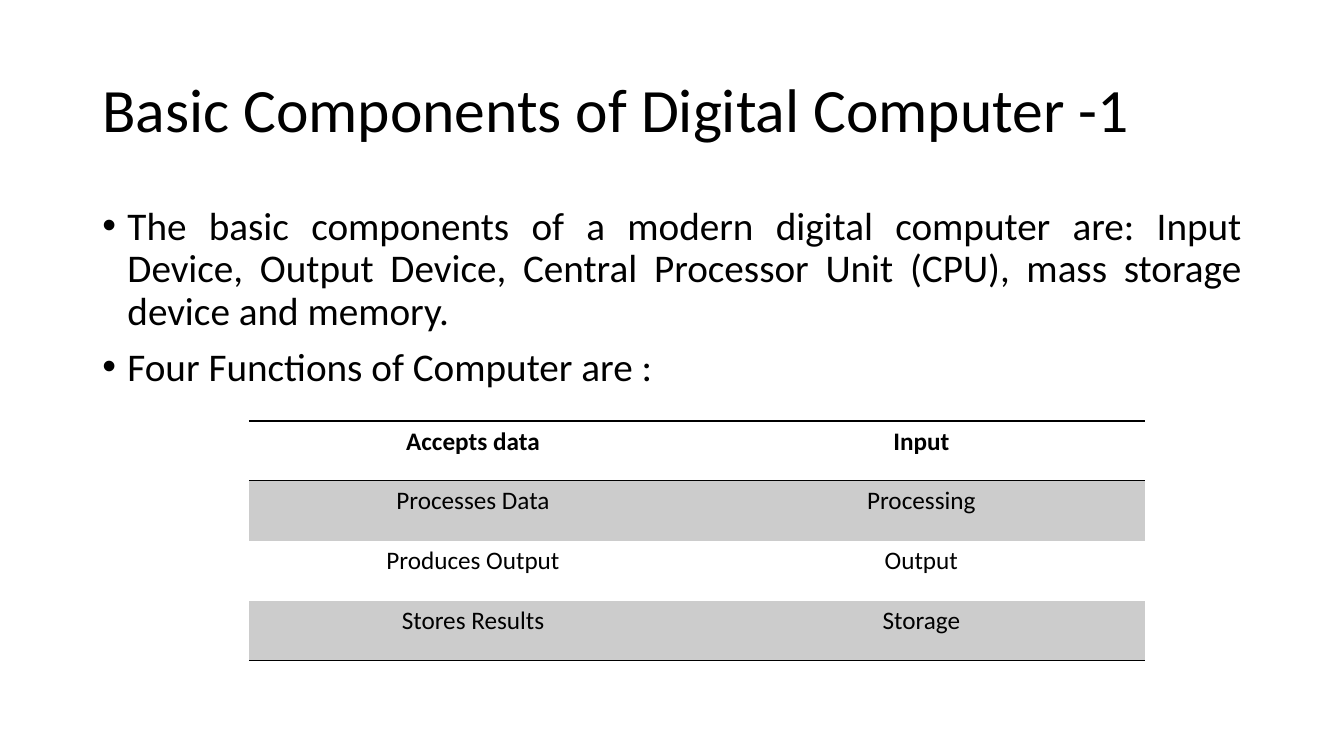
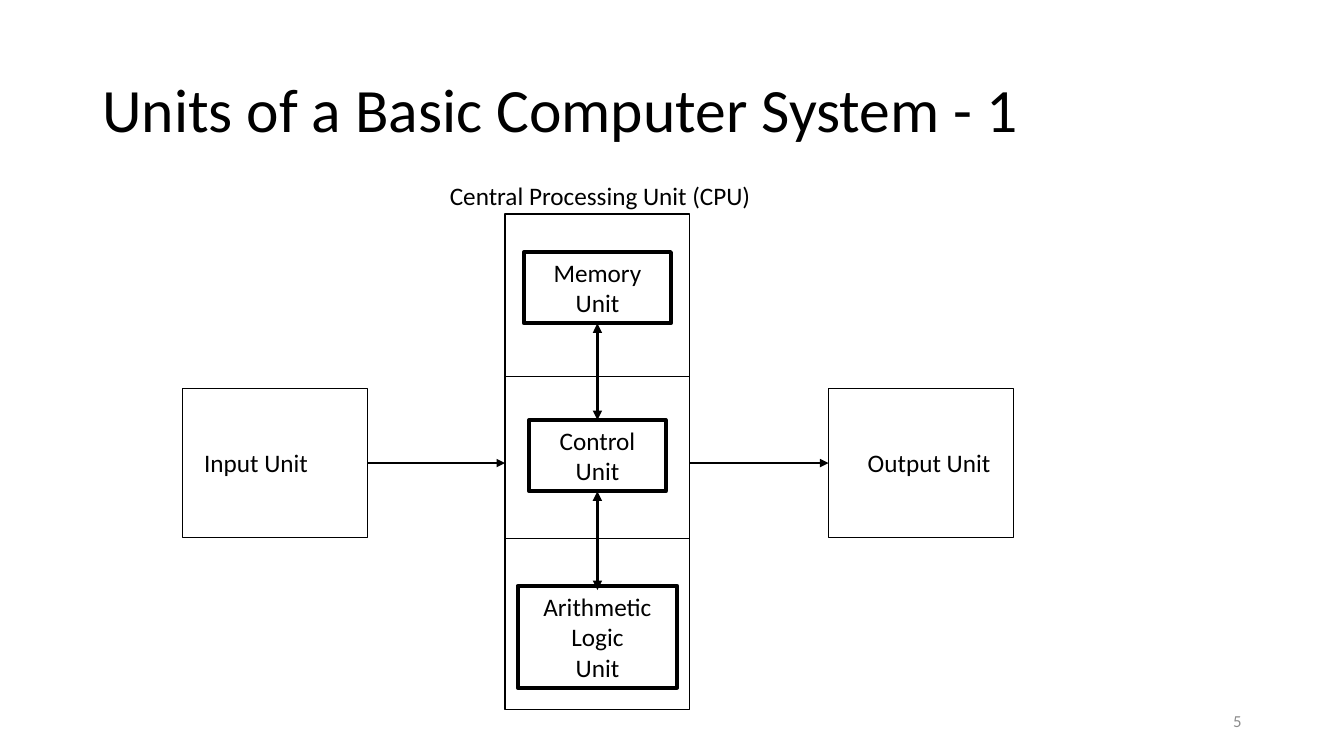
from pptx import Presentation
from pptx.dml.color import RGBColor
from pptx.enum.shapes import MSO_CONNECTOR, MSO_SHAPE
from pptx.enum.text import MSO_ANCHOR, PP_ALIGN
from pptx.oxml.ns import qn
from pptx.util import Emu, Pt
from lxml import etree

BLACK = RGBColor(0x00, 0x00, 0x00)
GREY = RGBColor(0x8C, 0x8C, 0x8C)
BAND = RGBColor(0xCC, 0xCC, 0xCC)
LEFT, CENTER, RIGHT, JUSTIFY = (
    PP_ALIGN.LEFT, PP_ALIGN.CENTER, PP_ALIGN.RIGHT, PP_ALIGN.JUSTIFY)
TOP, MIDDLE = MSO_ANCHOR.TOP, MSO_ANCHOR.MIDDLE
RECTANGLE = MSO_SHAPE.RECTANGLE
STRAIGHT = MSO_CONNECTOR.STRAIGHT
FONT = "Calibri"
EMU_PER_PX = 9525
BLANK_LAYOUT = 6
MARGIN, CONTENT_WIDTH = 88, 1104


def px(length):
    return Emu(length * EMU_PER_PX)


def add_xml(parent, tag, **attributes):
    return etree.SubElement(parent, qn(tag), attributes)


class Deck:
    def __init__(self):
        self.prs = Presentation()
        self.prs.slide_width, self.prs.slide_height = px(1280), px(720)
        self.shapes = None

    def new_slide(self, title):
        layout = self.prs.slide_layouts[BLANK_LAYOUT]
        self.shapes = self.prs.slides.add_slide(layout).shapes
        self.text([title], MARGIN, 38, CONTENT_WIDTH, 139, size=44,
                  anchor=MIDDLE, spacing={"line_spacing": 0.9})

    def set_lines(self, frame, lines, size=18, color=BLACK, bold=False,
                  align=LEFT, spacing=None):
        """Fill a text frame with one paragraph per line."""
        frame.word_wrap = True
        paragraph_format = {"alignment": align, **(spacing or {})}
        font_format = {"name": FONT, "size": Pt(size), "bold": bold}
        for index, line in enumerate(lines):
            paragraph = frame.add_paragraph() if index else frame.paragraphs[0]
            run = paragraph.add_run()
            run.text = line
            run.font.color.rgb = color
            for target, values in ((paragraph, paragraph_format),
                                   (run.font, font_format)):
                for name, value in values.items():
                    setattr(target, name, value)

    def text(self, lines, x, y, width, height, anchor=TOP, **style):
        frame = self.shapes.add_textbox(
            px(x), px(y), px(width), px(height)).text_frame
        self.set_lines(frame, lines, **style)
        frame.vertical_anchor = anchor
        return frame

    def bullets(self, lines, x, y, width, height, indent=24):
        frame = self.text(
            lines, x, y, width, height, size=28,
            spacing={"line_spacing": 0.9, "space_before": Pt(10)})
        for paragraph in frame.paragraphs:
            properties = paragraph._p.get_or_add_pPr()
            properties.set("marL", str(px(indent)))
            properties.set("indent", str(px(-indent)))
            add_xml(properties, "a:buFont", typeface="Arial")
            add_xml(properties, "a:buChar", char="•")
        return frame

    def box(self, x, y, width, height, lines=(), weight=1.0):
        shape = self.shapes.add_shape(
            RECTANGLE, px(x), px(y), px(width), px(height))
        shape.shadow.inherit = False
        shape.fill.background()
        shape.line.color.rgb = BLACK
        shape.line.width = Pt(weight)
        self.set_lines(shape.text_frame, lines, align=CENTER)

    def line(self, start, end, weight, arrows=()):
        """Draw a line; arrows lists its ends, "head" before "tail"."""
        connector = self.shapes.add_connector(
            STRAIGHT, *(px(value) for value in (*start, *end)))
        connector.line.color.rgb = BLACK
        connector.line.width = Pt(weight)
        for arrow in arrows:
            add_xml(connector.line._ln, f"a:{arrow}End", type="triangle")
        add_xml(connector._element.spPr, "a:effectLst")

    def borders(self, cell, ruled):
        """Rule the named sides of a cell and clear the others."""
        properties = cell._tc.get_or_add_tcPr()
        for index, side in enumerate("LRTB"):
            edge = etree.Element(qn(f"a:ln{side}"), w=str(Pt(1)))
            if side in ruled:
                fill = add_xml(edge, "a:solidFill")
                add_xml(fill, "a:srgbClr", val=str(BLACK))
            else:
                add_xml(edge, "a:noFill")
            properties.insert(index, edge)

    def table(self, rows, x, y, column_width, row_height):
        count, columns = len(rows), len(rows[0])
        table = self.shapes.add_table(
            count, columns, px(x), px(y),
            px(column_width * columns), px(row_height * count)).table
        table.first_row = table.horz_banding = False
        ruled_levels = {0, 1, count}
        for row, labels in enumerate(rows):
            table.rows[row].height = px(row_height)
            ruled = [side for side, level in (("T", row), ("B", row + 1))
                     if level in ruled_levels]
            for column, label in enumerate(labels):
                cell = table.cell(row, column)
                self.set_lines(cell.text_frame, [label], bold=row == 0,
                               align=CENTER)
                if row % 2:
                    cell.fill.solid()
                    cell.fill.fore_color.rgb = BAND
                else:
                    cell.fill.background()
                self.borders(cell, ruled)
        for column in table.columns:
            column.width = px(column_width)

    def page_number(self, number):
        self.text([number], 904, 667, 288, 38, anchor=MIDDLE, size=12,
                  color=GREY, align=RIGHT)


def components_slide(deck):
    deck.new_slide("Basic Components of Digital Computer -1")
    body = deck.bullets([
        "The basic components of a modern digital computer are: Input "
        "Device, Output Device, Central Processor Unit (CPU), mass storage "
        "device and memory.",
        "Four Functions of Computer are :",
    ], MARGIN, 192, CONTENT_WIDTH, 457)
    body.paragraphs[0].alignment = JUSTIFY
    deck.table([
        ("Accepts data", "Input"),
        ("Processes Data", "Processing"),
        ("Produces Output", "Output"),
        ("Stores Results", "Storage"),
    ], 237, 401, 427, 57)


def units_slide(deck):
    deck.new_slide("Units of a Basic Computer System - 1")
    unit_width, unit_top, unit_height = 176, 370, 142
    input_left, cpu_left, output_left = 174, 481, 789
    cpu_right = cpu_left + unit_width
    cpu_center = cpu_left + unit_width // 2
    flow_y = unit_top + unit_height // 2

    deck.box(cpu_left, 204, unit_width, 472)
    for left in (input_left, output_left):
        deck.box(left, unit_top, unit_width, unit_height)
    for start, end in ((input_left + unit_width, cpu_left),
                       (cpu_right, output_left)):
        deck.line((start, flow_y), (end, flow_y), 2, ["tail"])
    for divider_y in (358, 513):
        deck.line((cpu_left, divider_y), (cpu_right, divider_y), 0.5)

    for lines, top, width, height in (
            (["Memory Unit"], 240, 140, 68),
            (["Control Unit"], 400, 130, 68),
            (["Arithmetic Logic", "Unit"], 558, 152, 97)):
        deck.box(cpu_center - width // 2, top, width, height, lines, 2.75)
    for top, bottom in ((308, 400), (468, 562)):
        deck.line((cpu_center, top), (cpu_center, bottom), 2.25,
                  ["head", "tail"])

    for label, left, top, width in (
            ("Input Unit", 185, 421, 150),
            ("Output Unit", 817, 421, 150),
            ("Central Processing Unit (CPU)", 419, 167, 350)):
        deck.text([label], left, top, width, 38)
    deck.page_number("5")


def main():
    deck = Deck()
    components_slide(deck)
    units_slide(deck)
    deck.prs.save("out.pptx")


if __name__ == "__main__":
    main()
